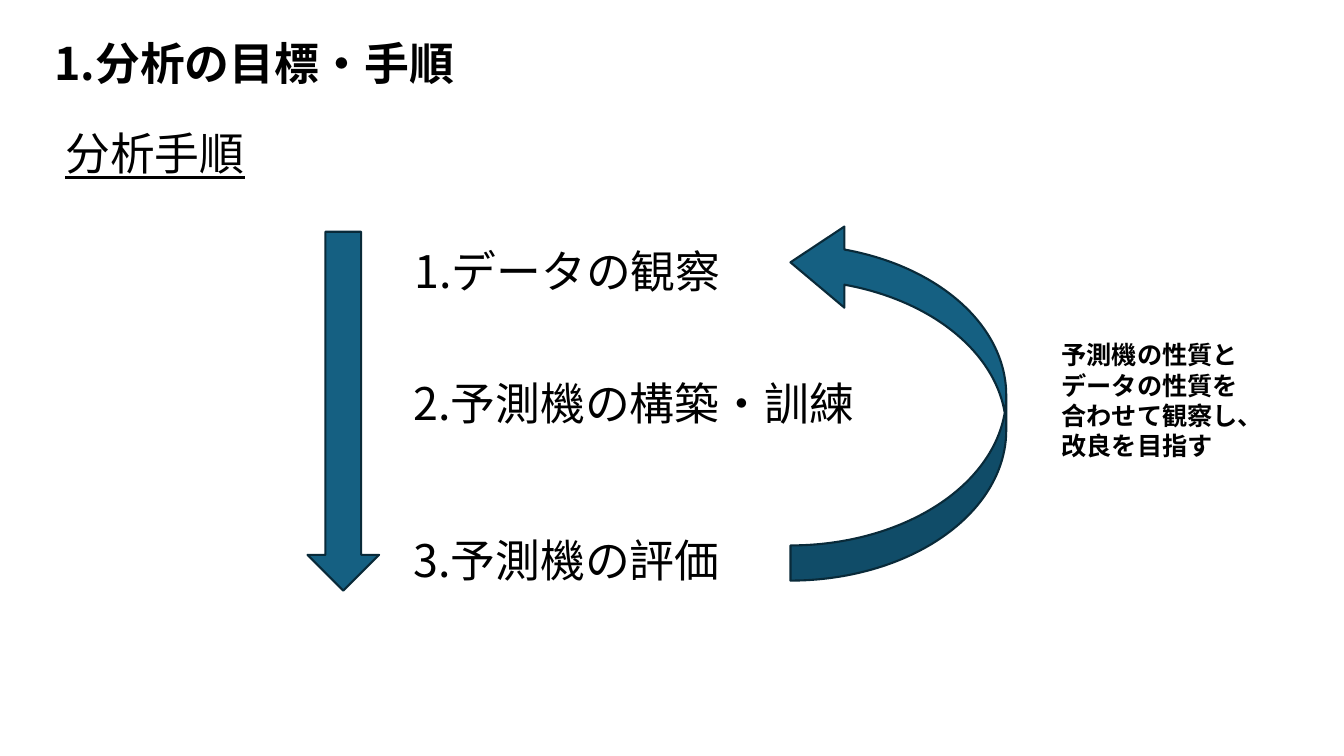
from dataclasses import dataclass

import pptx
import pptx.dml.color
import pptx.enum.shapes
import pptx.enum.text
import pptx.oxml
import pptx.oxml.ns
import pptx.util
from pptx.util import Inches

SHAPE = pptx.enum.shapes.MSO_SHAPE


@dataclass(frozen=True)
class Theme:
    font: str = "Noto Sans CJK JP"
    ink: str = "000000"
    fill: str = "156082"
    edge: str = "092A39"
    large: int = 32
    small: int = 18
    line: float = 1.5


THEME = Theme()


def color(code):
    return pptx.dml.color.RGBColor.from_string(code)


def add_text(slide, text, left, top, width, height=0.64,
             size=THEME.large, bold=False, under=False):
    box = slide.shapes.add_textbox(
        Inches(left), Inches(top), Inches(width), Inches(height))
    frame = box.text_frame
    frame.word_wrap = True
    frame.auto_size = pptx.enum.text.MSO_AUTO_SIZE.SHAPE_TO_FIT_TEXT
    frame.text = text
    run = frame.paragraphs[0].runs[0]
    font = run.font
    font.size = pptx.util.Pt(size)
    font.bold = bold
    font.underline = under
    font.color.rgb = color(THEME.ink)
    font.name = THEME.font
    # Japanese glyphs take their typeface from the East Asian slot
    east = pptx.oxml.parse_xml(
        f'<a:ea {pptx.oxml.ns.nsdecls("a")} typeface="{THEME.font}"/>')
    run.font._element.append(east)


def add_arrow(slide, kind, left, top, width, height, turn=0, adjust=()):
    arrow = slide.shapes.add_shape(
        kind, Inches(left), Inches(top), Inches(width), Inches(height))
    arrow.rotation = turn
    for index, value in enumerate(adjust):
        arrow.adjustments[index] = value
    arrow.shadow.inherit = False
    arrow.fill.solid()
    arrow.fill.fore_color.rgb = color(THEME.fill)
    arrow.line.color.rgb = color(THEME.edge)
    arrow.line.width = pptx.util.Pt(THEME.line)


def main():
    deck = pptx.Presentation()
    deck.slide_width = Inches(13.33)
    deck.slide_height = Inches(7.5)
    slide = deck.slides.add_slide(deck.slide_layouts[6])

    add_text(slide, "1.分析の目標・手順", 0.44, 0.31, 4.29, bold=True)
    add_text(slide, "分析手順", 0.55, 1.2, 2.04, under=True)

    steps = (("1.データの観察", 4.01, 2.37),
             ("2.予測機の構築・訓練", 4, 3.68),
             ("3.予測機の評価", 4, 5.24))
    for step, left, top in steps:
        add_text(slide, step, left, top, 4.74)

    add_arrow(slide, SHAPE.DOWN_ARROW, 3.05, 2.3, 0.71, 3.56)
    add_arrow(slide, SHAPE.CURVED_UP_ARROW, 7.13, 2.91, 3.56, 2.14,
              turn=270, adjust=(0.163, 0.376, 0.25))
    add_text(slide, "予測機の性質とデータの性質を合わせて観察し、改良を目指す",
             10.43, 3.32, 2.14, 1.31, size=THEME.small, bold=True)

    deck.save("out.pptx")


if __name__ == "__main__":
    main()
